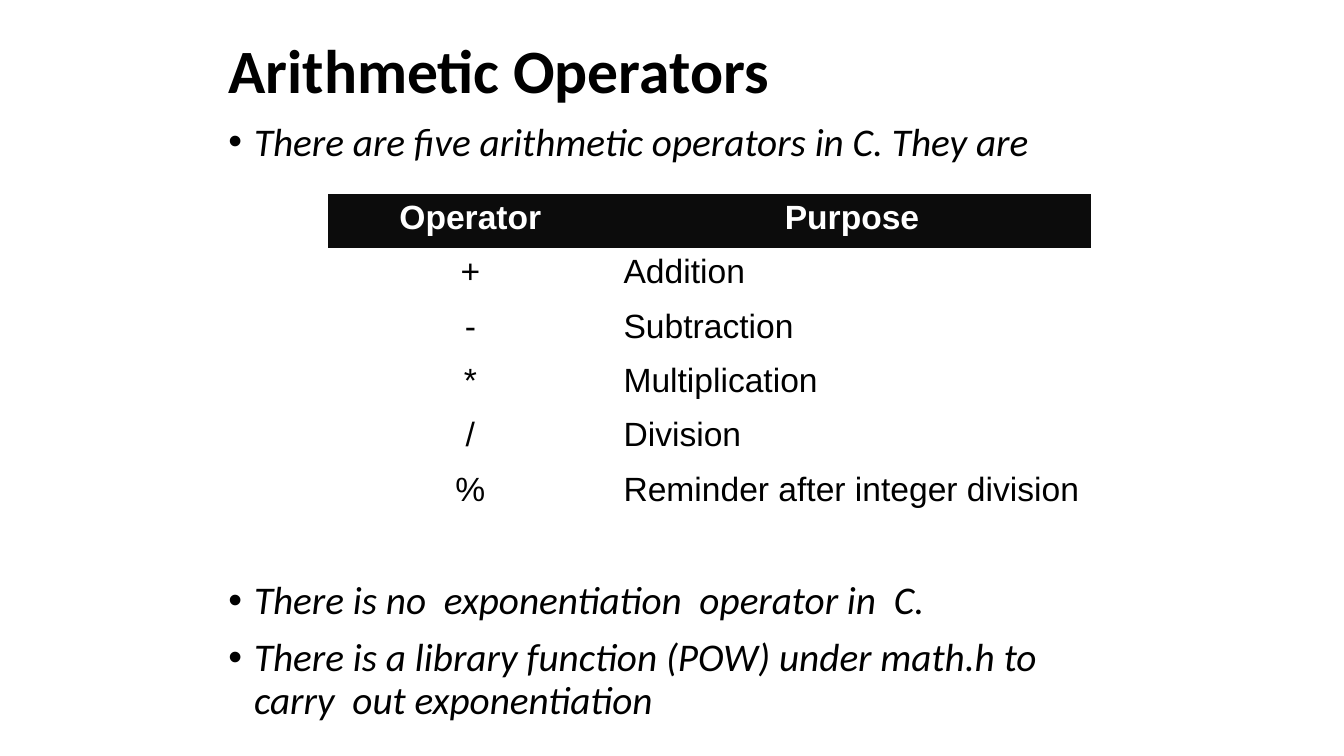
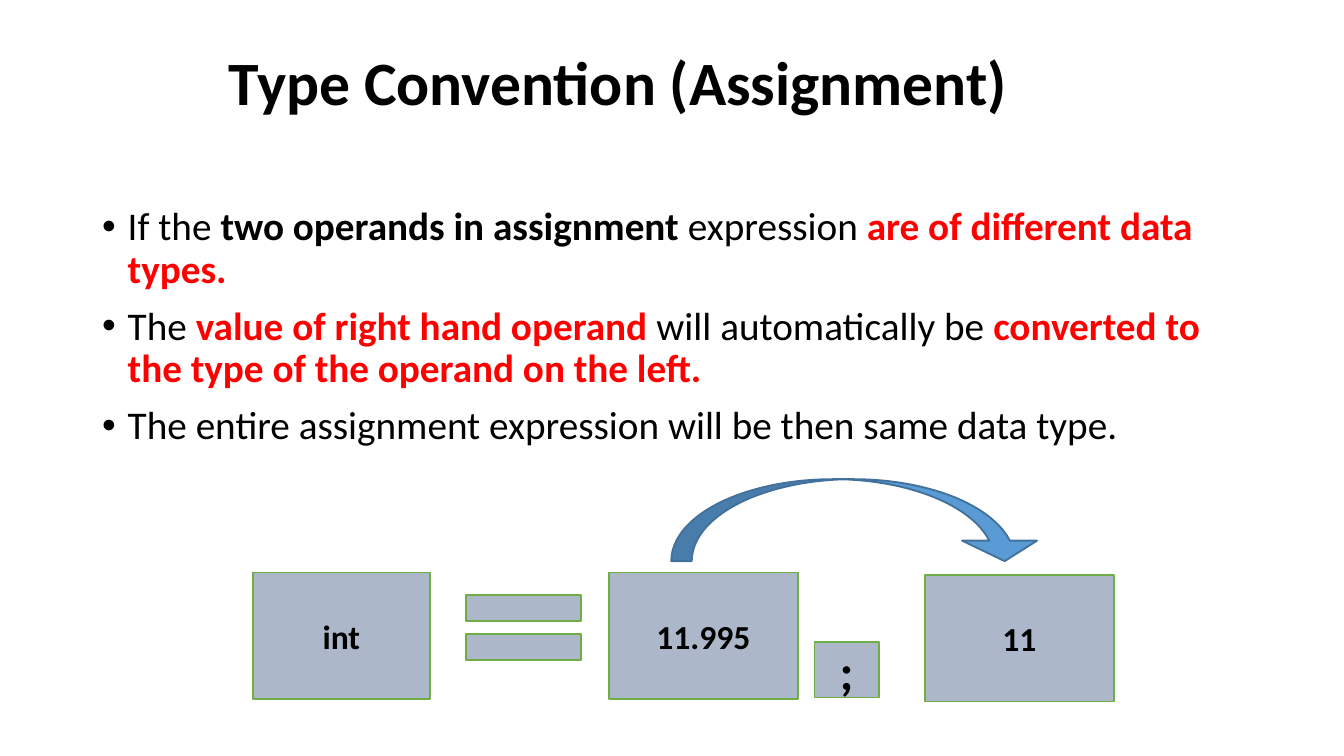
from lxml import etree
from pptx import Presentation
from pptx.dml.color import RGBColor
from pptx.enum.shapes import MSO_SHAPE as Shp
from pptx.enum.text import MSO_ANCHOR as Anchor, PP_ALIGN as Align
from pptx.oxml.ns import qn
from pptx.util import Inches, Pt

COLORS = {"black": "000000", "white": "FFFFFF", "red": "FF0000",
          "header": "0C0C0C", "box": "ACB8CA", "box_line": "70AD47",
          "arrow": "5B9BD5", "arrow_line": "42719B"}
NO_TABLE_STYLE = "{2D5ABB26-0587-4C30-8999-92F81FD0307C}"
BULLET_GAP = 8

BOLD = {"bold": True}
ITALIC = {"italic": True}
ALERT = {"bold": True, "color": "red"}

OPERATORS = [("Operator", "Purpose"), ("+", "Addition"), ("-", "Subtraction"),
             ("*", "Multiplication"), ("/", "Division"),
             ("%", "Reminder after integer division")]
OPERATOR_NOTES = [
    (0, [("There are five arithmetic operators in C. They are", ITALIC)]),
    (223, [("There is no  exponentiation  operator in  C.", ITALIC)]),
    (BULLET_GAP, [("There is a library function (POW) under math.h to  carry  "
                   "out exponentiation", ITALIC)]),
]
CONVERSION_NOTES = [
    (0, [("If the ", {}), ("two operands in assignment ", BOLD),
         ("expression ", {}), ("are of different data types.", ALERT)]),
    (BULLET_GAP, [("The ", {}), ("value of right hand operand ", ALERT),
                  ("will automatically be ", {}),
                  ("converted to the type of the operand on the left.", ALERT)]),
    (BULLET_GAP, [("The entire assignment expression will be then same data type.", {})]),
]


def rgb(name):
    """Return the named palette colour."""
    return RGBColor.from_string(COLORS[name])


def add_run(p, text, size, font="Calibri", color="black", bold=False, italic=False):
    """Append one formatted run to a paragraph."""
    r = p.add_run()
    r.text = text
    f = r.font
    f.name, f.size, f.bold, f.italic = font, Pt(size), bold, italic
    f.color.rgb = rgb(color)


def set_frame(tf, anchor):
    """Apply the shared wrapping, insets and anchor to a text frame."""
    tf.word_wrap = True
    tf.vertical_anchor = anchor
    tf.margin_left = tf.margin_right = Inches(0.07)
    tf.margin_top = tf.margin_bottom = Inches(0.04)


def add_text_box(s, box, anchor):
    """Add an empty text box and return its frame."""
    tf = s.shapes.add_textbox(*map(Inches, box)).text_frame
    set_frame(tf, anchor)
    return tf


def add_title(s, text, height):
    """Add the slide title in the shared position and style."""
    p = add_text_box(s, (1.63, 0.22, 6.75, height), Anchor.MIDDLE).paragraphs[0]
    p.line_spacing = 0.9
    add_run(p, text, 33, bold=True)


def add_bullets(s, box, items):
    """Add a bulleted list of (space before, runs) items."""
    tf = add_text_box(s, box, Anchor.TOP)
    for i, (gap, runs) in enumerate(items):
        p = tf.add_paragraph() if i else tf.paragraphs[0]
        p.line_spacing = 0.9
        p.space_before = Pt(gap)
        pPr = p._p.get_or_add_pPr()
        pPr.set("marL", str(Inches(0.19)))
        pPr.set("indent", str(-Inches(0.19)))
        etree.SubElement(pPr, qn("a:buFont"), typeface="Arial")
        etree.SubElement(pPr, qn("a:buChar"), char="•")
        for text, style in runs:
            add_run(p, text, 21, **style)


def add_operator_table(s, left, top, widths, height):
    """Add the unruled operator table with a dark header row."""
    frame = s.shapes.add_table(len(OPERATORS), len(widths), Inches(left), Inches(top),
                               Inches(sum(widths)), Inches(height))
    table = frame.table
    table.horz_banding = False
    table._tbl.tblPr.find(qn("a:tableStyleId")).text = NO_TABLE_STYLE
    for col, width in zip(table.columns, widths):
        col.width = Inches(width)
    for i, row in enumerate(OPERATORS):
        header = i == 0
        for j, text in enumerate(row):
            cell = table.cell(i, j)
            cell.margin_left = cell.margin_right = Inches(0.08)
            cell.margin_top = cell.margin_bottom = Inches(0.04)
            if header:
                cell.fill.solid()
                cell.fill.fore_color.rgb = rgb("header")
            else:
                cell.fill.background()
            p = cell.text_frame.paragraphs[0]
            p.alignment = Align.CENTER if header or j == 0 else Align.LEFT
            add_run(p, text, 18, "Arial", "white" if header else "black", header)


def add_block(s, kind, box, text="", size=18, fill="box", line="box_line", adj=()):
    """Add a filled, outlined shape with an optional centred label."""
    sp = s.shapes.add_shape(kind, *map(Inches, box))
    sp.shadow.inherit = False
    sp.fill.solid()
    sp.fill.fore_color.rgb = rgb(fill)
    sp.line.color.rgb = rgb(line)
    sp.line.width = Pt(1)
    for i, value in enumerate(adj):
        sp.adjustments[i] = value
    if text:
        set_frame(sp.text_frame, Anchor.MIDDLE)
        p = sp.text_frame.paragraphs[0]
        p.alignment = Align.CENTER
        add_run(p, text, size, bold=True)
    return sp


def add_assignment_diagram(s, x, y):
    """Draw the int = 11.995; conversion, with its top left block at (x, y)."""
    add_block(s, Shp.MATH_EQUAL, (x + 1.43, y, 1.17, 0.82), adj=(0.235, 0.118))
    for dx, dy, width, height, text, size in [
            (0, 0, 1.32, 0.94, "int", 18), (4.18, 0.52, 0.48, 0.41, ";", 27),
            (2.65, 0, 1.41, 0.94, "11.995", 18), (5, 0.02, 1.41, 0.94, "11", 18)]:
        add_block(s, Shp.RECTANGLE, (x + dx, y + dy, width, height), text, size)
    arrow = add_block(s, Shp.CURVED_LEFT_ARROW, (x + 4.19, y - 1.77, 0.61, 2.76),
                      fill="arrow", line="arrow_line", adj=(0.25, 0.915, 0.25))
    arrow.rotation = 270


def build_operators(s):
    """Build the arithmetic operators slide."""
    add_title(s, "Arithmetic Operators", 0.65)
    add_bullets(s, (1.63, 0.87, 6.75, 4.56), OPERATOR_NOTES)
    add_operator_table(s, 2.44, 1.44, (2.12, 3.56), 2.43)


def build_assignment(s):
    """Build the assignment conversion slide."""
    add_title(s, "Type Convention (Assignment)", 0.84)
    add_bullets(s, (0.69, 1.5, 8.62, 3.57), CONVERSION_NOTES)
    add_assignment_diagram(s, 1.88, 4.26)


def main():
    """Build and save the presentation."""
    prs = Presentation()
    prs.slide_width = Inches(10)
    prs.slide_height = prs.slide_width * 9 // 16
    for build in (build_operators, build_assignment):
        build(prs.slides.add_slide(prs.slide_layouts[6]))
    prs.save("out.pptx")


if __name__ == "__main__":
    main()
